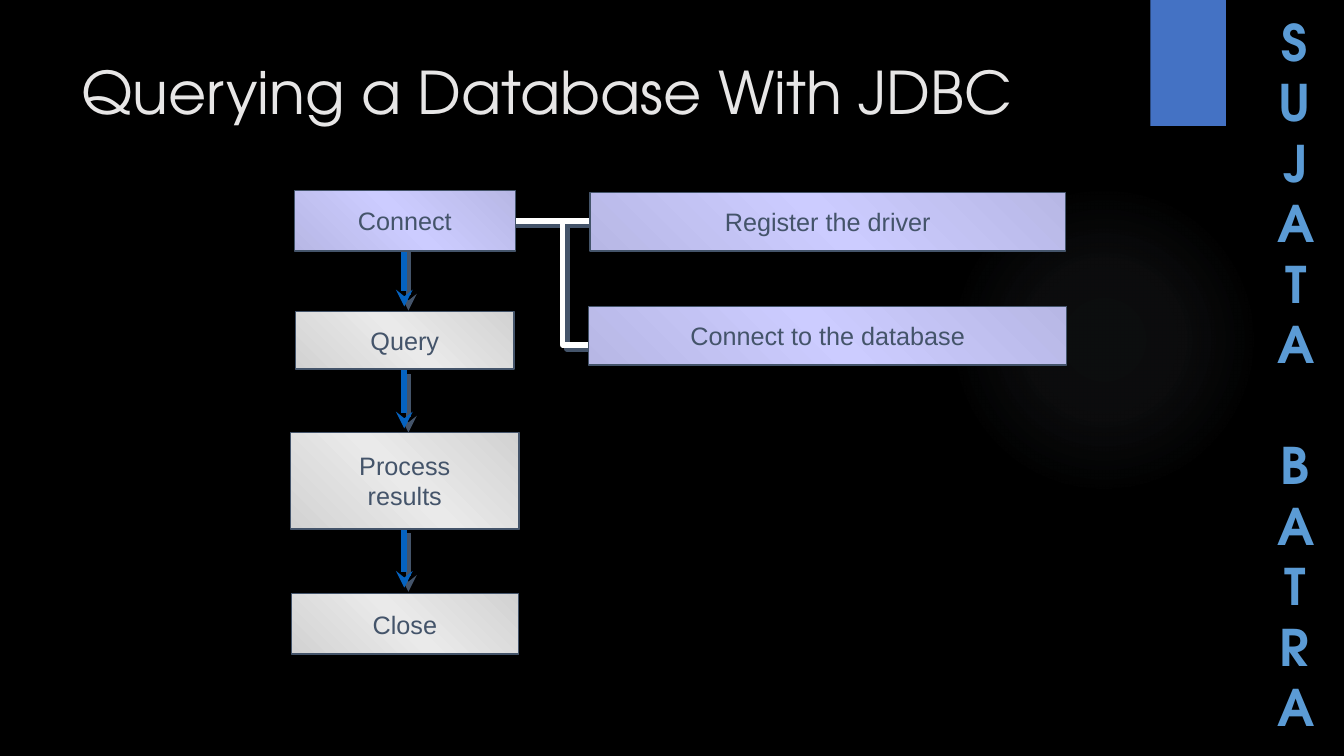
from lxml import etree
from pptx import Presentation
from pptx.dml.color import RGBColor
from pptx.enum.shapes import MSO_CONNECTOR, MSO_SHAPE
from pptx.enum.text import MSO_ANCHOR, PP_ALIGN
from pptx.oxml.ns import qn
from pptx.util import Inches, Pt

RECTANGLE, OVAL = MSO_SHAPE.RECTANGLE, MSO_SHAPE.OVAL
STRAIGHT = MSO_CONNECTOR.STRAIGHT
LEFT, CENTER = PP_ALIGN.LEFT, PP_ALIGN.CENTER
TOP, MIDDLE = MSO_ANCHOR.TOP, MSO_ANCHOR.MIDDLE
TITLE_ONLY = 5

COLORS = {
    "background": "000000", "title": "E7E6E6", "name": "5B9BD5",
    "tab": "4472C4", "glow": "ADB9CA", "ink": "44546A",
    "arrow": "0563C1", "branch": "FFFFFF",
}
GRAY = ("D2D2D2", "EAEAEA")
LILAC = ("B7B7E5", "CCCCFF")
HEADING_FONT, BODY_FONT = "TeX Gyre Adventor", "Arial"


def color(name):
    return RGBColor.from_string(COLORS[name])


def add_node(parent, tag, **attributes):
    values = {key: str(value) for key, value in attributes.items()}
    return etree.SubElement(parent, qn(tag), values)


class FlowSlide:
    def __init__(self, deck):
        self.page = deck.slides.add_slide(deck.slide_layouts[TITLE_ONLY])
        self.shapes = self.page.shapes
        self.page.background.fill.solid()
        self.page.background.fill.fore_color.rgb = color("background")

    def set_text(self, shape, text, size, font, ink, align, anchor, bold=False, wrap=True):
        frame = shape.text_frame
        frame.text = text
        frame.word_wrap = wrap
        frame.vertical_anchor = anchor
        for para in frame.paragraphs:
            para.alignment = align
            for span in para.runs:
                span.font.size = Pt(size)
                span.font.name = font
                span.font.bold = bold
                span.font.color.rgb = color(ink)

    def title(self, text, *bounds):
        box = self.shapes.title
        box.left, box.top, box.width, box.height = map(Inches, bounds)
        self.set_text(box, text, 42, HEADING_FONT, "title", LEFT, TOP)

    def side_name(self, text, *bounds):
        """Stack letters by wrapping them in a box one letter wide."""
        box = self.shapes.add_textbox(*map(Inches, bounds))
        self.set_text(box, text, 36, HEADING_FONT, "name", CENTER, TOP, bold=True)

    def plain_shape(self, kind, *bounds):
        shape = self.shapes.add_shape(kind, *map(Inches, bounds))
        shape.shadow.inherit = False
        shape.line.fill.background()
        return shape

    def tab(self, *bounds):
        shape = self.plain_shape(RECTANGLE, *bounds)
        shape.fill.solid()
        shape.fill.fore_color.rgb = color("tab")

    def gradient(self, shape, stops):
        """Fill with (percent, hex, alpha percent) stops; return the fill element."""
        shape.fill.background()
        empty = shape.element.spPr.find(qn("a:noFill"))
        fill = etree.Element(qn("a:gradFill"), rotWithShape="1")
        stop_list = add_node(fill, "a:gsLst")
        for percent, value, alpha in stops:
            stop = add_node(stop_list, "a:gs", pos=percent * 1000)
            tone = add_node(stop, "a:srgbClr", val=value)
            if alpha < 100:
                add_node(tone, "a:alpha", val=alpha * 1000)
        empty.getparent().replace(empty, fill)
        return fill

    def glow(self, *bounds):
        shape = self.plain_shape(OVAL, *bounds)
        stops = [(at, COLORS["glow"], alpha) for at, alpha in ((0, 7), (36, 6), (69, 0))]
        radial = add_node(self.gradient(shape, stops), "a:path", path="circle")
        add_node(radial, "a:fillToRect", l=50000, t=50000, r=50000, b=50000)

    def step(self, text, tones, *bounds):
        shape = self.plain_shape(RECTANGLE, *bounds)
        edge, middle = tones
        stops = [(0, edge, 100), (50, middle, 100), (100, edge, 100)]
        add_node(self.gradient(shape, stops), "a:lin", ang=315 * 60000, scaled=1)
        shape.line.color.rgb = color("ink")
        shape.line.width = Pt(1)
        self.set_text(shape, text, 18, BODY_FONT, "ink", CENTER, MIDDLE, wrap=False)

    def style_line(self, line, ink, arrow=False):
        """Set a thick stroke with a hard shadow to the lower right."""
        line.line.color.rgb = color(ink)
        line.line.width = Pt(4)
        properties = line.element.spPr
        if arrow:
            add_node(properties.find(qn("a:ln")), "a:tailEnd", type="stealth")
        effects = properties.find(qn("a:effectLst"))
        if effects is None:
            effects = add_node(properties, "a:effectLst")
        shadow = add_node(effects, "a:outerShdw", dist=Pt(4.2), dir=45 * 60000,
                          algn="ctr", rotWithShape=0)
        add_node(shadow, "a:srgbClr", val=COLORS["ink"])

    def connector(self, ink, *ends, arrow=False):
        line = self.shapes.add_connector(STRAIGHT, *map(Inches, ends))
        self.style_line(line, ink, arrow)

    def elbow(self, start, *points):
        builder = self.shapes.build_freeform(*map(Inches, start))
        builder.add_line_segments([tuple(map(Inches, point)) for point in points], close=False)
        shape = builder.convert_to_shape()
        shape.shadow.inherit = False
        shape.fill.background()
        self.style_line(shape, "branch")


def main():
    deck = Presentation()
    deck.slide_width, deck.slide_height = Inches(13.33), Inches(7.5)
    slide = FlowSlide(deck)

    slide.glow(9.41, 1.83, 3.08, 3.08)
    slide.tab(11.41, 0, 0.75, 1.25)
    slide.side_name("SUJATA\n BATRA", 12.57, 0.06, 0.54, 7.37)
    slide.title("Querying a Database With JDBC", 0.71, 0.5, 10.29, 1.53)

    for top in (2.46, 3.67, 5.25):
        slide.connector("arrow", 4.01, top, 4.01, top + 0.58, arrow=True)
    slide.connector("branch", 4.96, 2.19, 5.93, 2.19)
    slide.elbow((5.58, 2.21), (5.58, 3.42), (6.17, 3.42))

    steps = [
        ("Connect", LILAC, 2.92, 1.89, 2.19, 0.6),
        ("Query", GRAY, 2.93, 3.09, 2.17, 0.57),
        ("Process\vresults", GRAY, 2.88, 4.29, 2.27, 0.96),
        ("Close", GRAY, 2.89, 5.89, 2.25, 0.6),
        ("Register the driver", LILAC, 5.85, 1.91, 4.72, 0.58),
        ("Connect to the database", LILAC, 5.84, 3.04, 4.74, 0.58),
    ]
    for text, tones, *bounds in steps:
        slide.step(text, tones, *bounds)

    deck.save("out.pptx")


if __name__ == "__main__":
    main()
